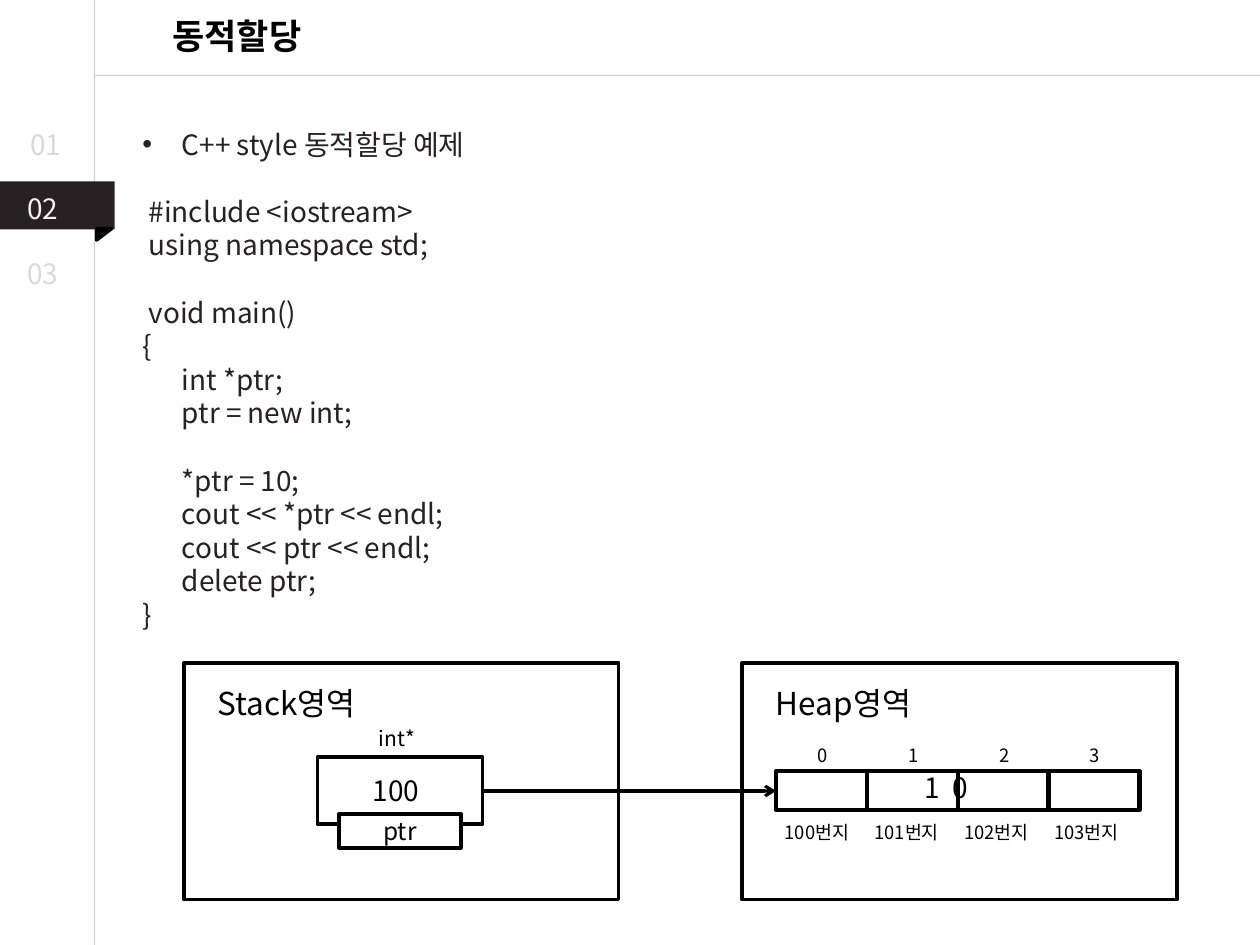
from pptx import Presentation
from pptx.dml.color import RGBColor
from pptx.enum.shapes import MSO_CONNECTOR as Connector, MSO_SHAPE as Shape
from pptx.enum.text import MSO_ANCHOR as Anchor, MSO_AUTO_SIZE as AutoSize, PP_ALIGN as Align
from pptx.oxml.ns import qn
from pptx.util import Pt
from lxml.etree import SubElement

THEME = {
    "font": "Noto Sans CJK KR",
    "ink": "000000", "body": "272123", "ribbon": "272123", "paper": "FFFFFF",
    "muted": "D9D9D9", "active": "F2F2F2", "rule": "A6A6A6",
    "title": 20, "area": 18, "text": 16, "label": 14, "type": 12, "cell": 10.5,
    "thin": 0.75, "arrow": 1.75, "border": 2, "cell_border": 2.5,
}
TITLE = "동적할당"
CODE_BLOCKS = [
    [(0, "C++ style 동적할당 예제")],
    [(0, " #include <iostream>"), (0, " using namespace std;")],
    [(0, " void main()"), (0, "{"), (1, "int *ptr;"), (1, "ptr = new int;")],
    [(1, "*ptr = 10;"), (1, "cout << *ptr << endl;"), (1, "cout << ptr << endl;"),
     (1, "delete ptr;"), (0, "}")],
]
CHAPTERS = [("01", 10.1, 69.1, "muted"), ("02", 8.6, 105.8, "active"), ("03", 8.6, 143.3, "muted")]
AREAS = [("Stack영역", 105.1), ("Heap영역", 424.1)]
CELLS = [("0", "100번지"), ("1", "101번지"), ("2", "102번지"), ("3", "103번지")]

SLIDE_W, SLIDE_H = 720, 540
RAIL_X, HEADER_Y = 54, 43.2
LINE_PITCH, INDENT = 19.2, 22.5
AREA_TOP, AREA_W, AREA_H = 378.7, 248.4, 135.4
CELL_LEFT, CELL_TOP, CELL_W, CELL_H = 443.5, 440.6, 51.9, 22.3
POINTER = (181.4, 432.7, 94.3, 38.2)
ARROW_Y = 452

deck = Presentation()
deck.slide_width, deck.slide_height = Pt(SLIDE_W), Pt(SLIDE_H)
slide = deck.slides.add_slide(deck.slide_layouts[1])


def colour(name):
    return RGBColor.from_string(THEME[name])


def apply(target, values):
    for key, value in values.items():
        setattr(target, key, value)


def place(part, box):
    apply(part, dict(zip(("left", "top", "width", "height"), map(Pt, box))))


def write(paragraph, text, size, ink="ink", bold=False):
    run = paragraph.add_run()
    run.text = text
    apply(run.font, {"name": THEME["font"], "size": Pt(THEME[size]), "bold": bold})
    run.font.color.rgb = colour(ink)
    SubElement(run._r.get_or_add_rPr(), qn("a:ea"), typeface=THEME["font"])


def label(text, box, size, ink="ink", wrap=False):
    caption = slide.shapes.add_textbox(*map(Pt, box))
    caption.text_frame.word_wrap = wrap
    write(caption.text_frame.paragraphs[0], text, size, ink)


def block(box, fill=None, border=None, preset=Shape.RECTANGLE):
    shape = slide.shapes.add_shape(preset, *map(Pt, box))
    shape.shadow.inherit = False
    if fill:
        shape.fill.solid()
        shape.fill.fore_color.rgb = colour(fill)
    else:
        shape.fill.background()
    if border:
        shape.line.color.rgb = colour("ink")
        shape.line.width = Pt(THEME[border])
    else:
        shape.line.fill.background()
    return shape


def rule(start, end, ink, width):
    line = slide.shapes.add_connector(Connector.STRAIGHT, *map(Pt, start + end))
    line.line.color.rgb = colour(ink)
    line.line.width = Pt(THEME[width])
    SubElement(line._element.spPr, qn("a:effectLst"))
    return line.line._get_or_add_ln()


def fill_title():
    title = slide.shapes.title
    place(title, (58.3, 4.3, 154.1, 31.7))
    apply(title.text_frame, {"vertical_anchor": Anchor.MIDDLE, "auto_size": AutoSize.NONE})
    heading = title.text_frame.paragraphs[0]
    heading.alignment = Align.CENTER
    write(heading, TITLE, "title", bold=True)


def fill_code():
    body = slide.placeholders[1]
    place(body, (74.2, 69.1, 585.4, 298.1))
    frame = body.text_frame
    apply(frame, {"word_wrap": True, "auto_size": AutoSize.NONE})
    for b, lines in enumerate(CODE_BLOCKS):
        for i, (depth, text) in enumerate(lines):
            first = b == i == 0
            paragraph = frame.paragraphs[0] if first else frame.add_paragraph()
            gap = LINE_PITCH if b and i == 0 else 0
            apply(paragraph, {"line_spacing": Pt(LINE_PITCH), "space_before": Pt(gap),
                              "space_after": Pt(0)})
            props = paragraph._p.get_or_add_pPr()
            props.set("marL", str(Pt(INDENT)))
            props.set("indent", str(Pt(0 if depth else -INDENT)))
            if first:
                SubElement(props, qn("a:buChar"), char="•")
            else:
                SubElement(props, qn("a:buNone"))
            write(paragraph, text, "text", "body")


def draw_navigation():
    for start, end in [((RAIL_X, 0), (RAIL_X, SLIDE_H)), ((SLIDE_W, HEADER_Y), (RAIL_X, HEADER_Y))]:
        ln = rule(start, end, "rule", "thin")
        SubElement(ln.find(".//" + qn("a:srgbClr")), qn("a:alpha"), val="50000")
    block((0, 103.7, 65.5, 27.4), "ribbon")
    block((56.2, 129.6, 6.5, 8.6), "ink", "border", Shape.RIGHT_TRIANGLE).rotation = 90
    for number, left, top, ink in CHAPTERS:
        label(number, (left, top, 40, 26.6), "text", ink, wrap=True)


def draw_memory():
    for name, left in AREAS:
        block((left, AREA_TOP, AREA_W, AREA_H), border="border")
        label(name, (left + 12.2, AREA_TOP + 8.7, 108, 18), "area")

    block(POINTER, border="border")
    tag = block((193.7, 465.1, 69.8, 19.4), "paper", "border")
    tag.text_frame.vertical_anchor = Anchor.MIDDLE
    tag.text_frame.paragraphs[0].alignment = Align.CENTER
    write(tag.text_frame.paragraphs[0], "ptr", "label")
    label("int*", (209.5, 411.1, 38.9, 21.6), "type")
    label("100", (205.9, 438.5, 44.6, 26.6), "text")

    for i, (index, address) in enumerate(CELLS):
        left = CELL_LEFT + i * CELL_W
        block((left, CELL_TOP, CELL_W, CELL_H), border="cell_border")
        label(index, (left + 16.6, 421.9, 19.4, 11.5), "cell")
        label(address, (441.4 + i * 51.3, 465.8, 51.1, 11.5), "cell", wrap=True)
    label("1  0", (521.3, 437, 45.4, 26.6), "text")

    pointer_right = POINTER[0] + POINTER[2]
    ln = rule((pointer_right, ARROW_Y), (CELL_LEFT, ARROW_Y), "ink", "arrow")
    SubElement(ln, qn("a:tailEnd"), type="arrow")


fill_title()
fill_code()
draw_navigation()
draw_memory()
deck.save("out.pptx")
